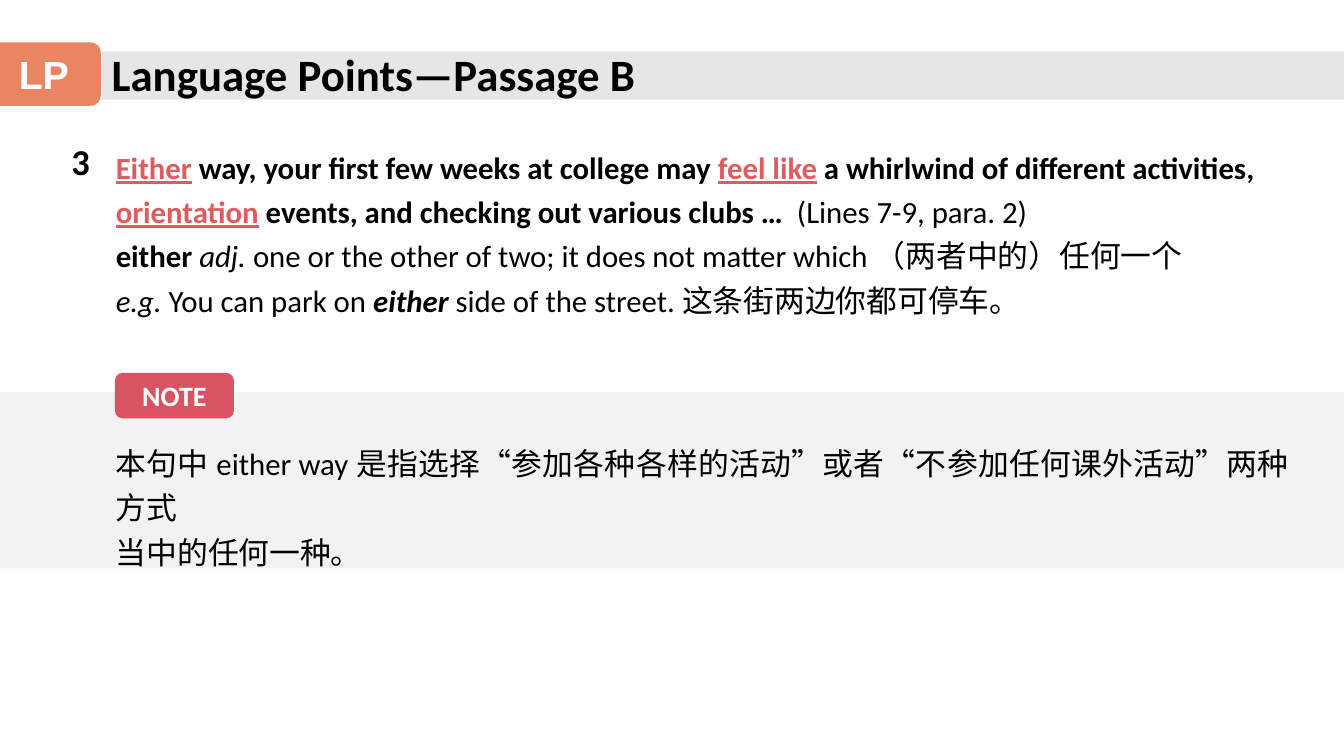
from dataclasses import dataclass

from lxml.etree import SubElement
from pptx import Presentation
from pptx.dml.color import RGBColor
from pptx.enum.shapes import MSO_SHAPE as SHAPE
from pptx.enum.text import MSO_ANCHOR as ANCHOR, PP_ALIGN as ALIGN
from pptx.oxml.ns import qn
from pptx.slide import Slide
from pptx.util import Inches, Pt


@dataclass(frozen=True)
class Theme:
    ink: str = "000000"
    white: str = "FFFFFF"
    key: str = "DD5C60"
    badge: str = "E98562"
    note: str = "DA5362"
    title_bar: str = "E7E6E6"
    note_band: str = "F2F2F2"
    font: str = "Calibri"
    badge_font: str = "Arial"
    cjk_font: str = "Noto Sans CJK SC"
    title_size: int = 32
    badge_size: int = 28
    number_size: int = 26
    body_size: int = 22
    note_size: int = 20


@dataclass(frozen=True)
class Box:
    left: float
    top: float
    width: float
    height: float


@dataclass(frozen=True)
class Span:
    text: str
    bold: bool = False
    italic: bool = False
    key: bool = False
    cjk: bool = False


@dataclass(frozen=True)
class Style:
    size: int
    color: str
    font: str
    align: ALIGN = ALIGN.LEFT
    spacing: float = 1.0


@dataclass(frozen=True)
class Panel:
    box: Box
    kind: SHAPE
    fill: str
    label: str = ""
    style: Style | None = None


@dataclass(frozen=True)
class Text:
    box: Box
    style: Style
    lines: list[list[Span]]


T = Theme()
TITLE = Style(T.title_size, T.ink, T.font)
NUMBER = Style(T.number_size, T.ink, T.font)
BODY = Style(T.body_size, T.ink, T.font, ALIGN.JUSTIFY, 1.2)
BADGE = Style(T.badge_size, T.white, T.badge_font, ALIGN.CENTER)
NOTE = Style(T.note_size, T.white, T.font, ALIGN.CENTER)

PANELS = [
    Panel(Box(0, 3.89, 13.33, 1.75), SHAPE.RECTANGLE, T.note_band),
    Panel(Box(1.01, 0.51, 12.32, 0.48), SHAPE.RECTANGLE, T.title_bar),
    Panel(Box(-0.13, 0.42, 1.13, 0.63), SHAPE.ROUNDED_RECTANGLE, T.badge, "LP", BADGE),
    Panel(Box(1.14, 3.7, 1.18, 0.45), SHAPE.ROUNDED_RECTANGLE, T.note, "NOTE", NOTE),
]

PASSAGE = [
    [
        Span("Either", bold=True, key=True),
        Span(" way, your first few weeks at college may ", bold=True),
        Span("feel like", bold=True, key=True),
        Span(" a whirlwind of different activities, ", bold=True),
    ],
    [
        Span("orientation", bold=True, key=True),
        Span(" events, and checking out various clubs … ", bold=True),
        Span(" (Lines 7-9, para. 2)"),
    ],
    [
        Span("either ", bold=True),
        Span("adj.", italic=True),
        Span(" one or the other of two; it does not matter which "),
        Span("（两者中的）任何一个", cjk=True),
    ],
    [
        Span("e.g.", italic=True),
        Span(" You can park on "),
        Span("either", bold=True, italic=True),
        Span(" side of the street. "),
        Span("这条街两边你都可停车。", cjk=True),
    ],
]

EXPLANATION = [
    [Span("本句中 either way 是指选择“参加各种各样的活动”或者“不参加任何课外活动”两种方式")],
    [Span("当中的任何一种。")],
]

TEXTS = [
    Text(Box(0.61, 1.33, 0.63, 0.54), NUMBER, [[Span("3", bold=True)]]),
    Text(Box(1.05, 1.35, 11.77, 1.88), BODY, PASSAGE),
    Text(Box(1.05, 4.29, 11.84, 0.99), BODY, EXPLANATION),
    Text(Box(1.01, 0.41, 5.71, 0.64), TITLE, [[Span("Language Points—Passage B", bold=True)]]),
]


def place(box: Box) -> list[int]:
    return [Inches(v) for v in (box.left, box.top, box.width, box.height)]


def write(tf, lines: list[list[Span]], style: Style) -> None:
    tf.word_wrap = True
    for i, line in enumerate(lines):
        p = tf.paragraphs[0] if i == 0 else tf.add_paragraph()
        p.alignment = style.align
        p.line_spacing = style.spacing
        for span in line:
            r = p.add_run()
            r.text = span.text
            f = r.font
            f.size = Pt(style.size)
            f.bold = span.bold
            f.italic = span.italic
            f.underline = span.key
            f.color.rgb = RGBColor.from_string(T.key if span.key else style.color)
            f.name = T.cjk_font if span.cjk else style.font
            SubElement(r._r.get_or_add_rPr(), qn("a:ea"), typeface=T.cjk_font)


def draw_panel(s: Slide, panel: Panel) -> None:
    sp = s.shapes.add_shape(panel.kind, *place(panel.box))
    sp.shadow.inherit = False
    sp.fill.solid()
    sp.fill.fore_color.rgb = RGBColor.from_string(panel.fill)
    sp.line.fill.background()
    if panel.style:
        sp.text_frame.vertical_anchor = ANCHOR.MIDDLE
        write(sp.text_frame, [[Span(panel.label, bold=True)]], panel.style)


def draw_text(s: Slide, text: Text) -> None:
    sp = s.shapes.add_textbox(*place(text.box))
    write(sp.text_frame, text.lines, text.style)


def main() -> None:
    prs = Presentation()
    prs.slide_width, prs.slide_height = Inches(13.33), Inches(7.5)
    s = prs.slides.add_slide(prs.slide_layouts[6])
    for panel in PANELS:
        draw_panel(s, panel)
    for text in TEXTS:
        draw_text(s, text)
    prs.save("out.pptx")


if __name__ == "__main__":
    main()
